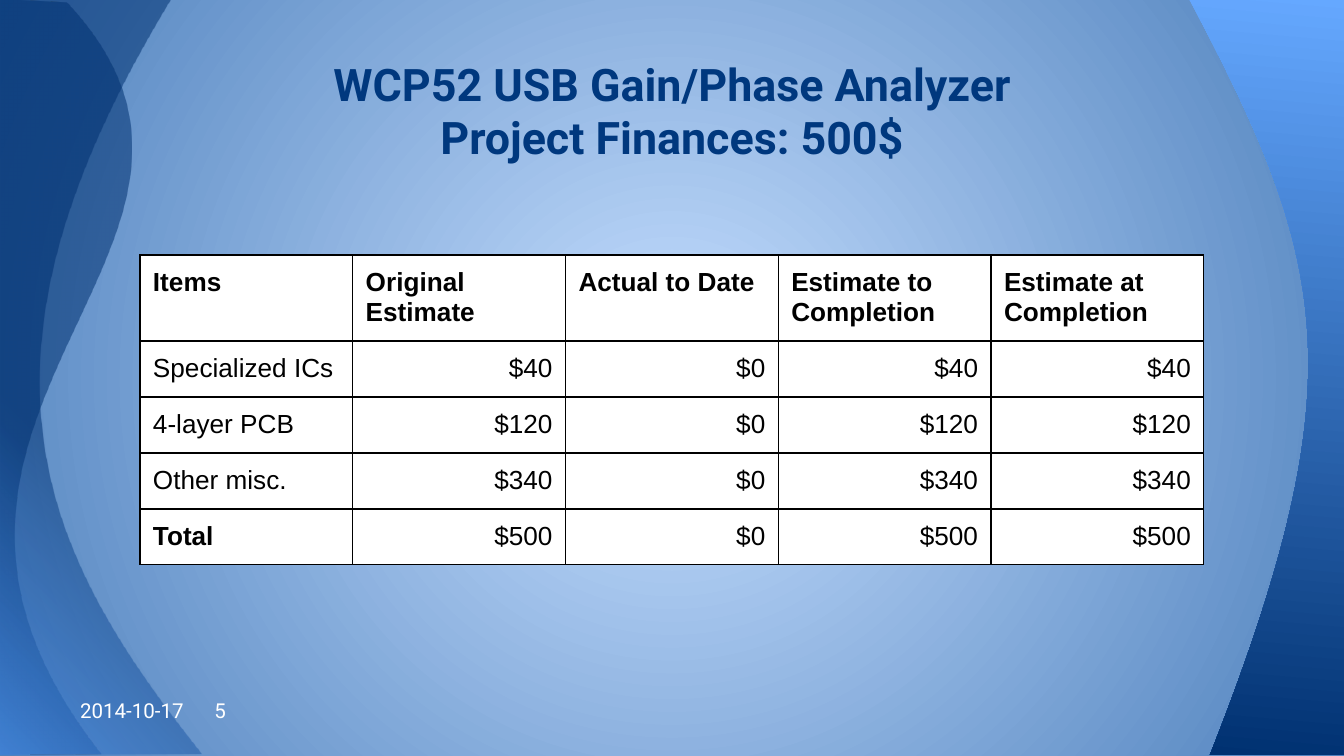
from itertools import chain
from pptx import Presentation
from pptx.dml.color import RGBColor
from pptx.enum.text import MSO_ANCHOR as Anchor, MSO_AUTO_SIZE as Fit, PP_ALIGN as Align
from pptx.oxml import parse_xml
from pptx.oxml.ns import nsdecls, qn
from pptx.util import Pt
from lxml.etree import SubElement

SCALE = 914400 / 134.4
PAD = 13
GLOW = [(0, "549FFF", 54), (41, "003171", 54), (100, "003171", 54)]
CORNER = '<a:path path="circle"><a:fillToRect l="0" t="100000" r="100000" b="0"/></a:path>'
CENTER = '<a:path path="circle"><a:fillToRect l="50000" t="50000" r="50000" b="50000"/></a:path>'
DOWN = '<a:lin ang="5700000" scaled="0"/>'

WAVES = [
    ([[(202, 754)], [(-1, 755)], [(-1, 503), (0, 250), (0, -3)],
      [(171, 0)], [(-51, 366), (44, 555), (202, 754)]], GLOW, CORNER),
    ([[(101, 754)], [(1, 755)], [(1, 504), (1, 252), (1, 0)],
      [(67, 3)], [(292, 245), (-164, 414), (101, 754)]], GLOW, CORNER),
    ([[(1351, 755)], [(1210, 755)], [(1357, 382), (1330, 263), (1189, -1)],
      [(1351, -1)]], [(0, "65A8FF", 100), (100, "003171", 100)], DOWN),
]
ROWS = [
    ["Items", "Original Estimate", "Actual to Date",
     "Estimate to Completion", "Estimate at Completion"],
    ["Specialized ICs", "$40", "$0", "$40", "$40"],
    ["4-layer PCB", "$120", "$0", "$120", "$120"],
    ["Other misc.", "$340", "$0", "$340", "$340"],
    ["Total", "$500", "$0", "$500", "$500"],
]


def px(n):
    return round(n * SCALE)


def color(code):
    return RGBColor.from_string(code)


def style(part, font, size, code, bold=False):
    for run in part.runs:
        face = run.font
        face.name, face.size, face.bold = font, Pt(size), bold
        face.color.rgb = color(code)


def shade(node, stops, kind):
    marks = "".join(
        f'<a:gs pos="{pos * 1000}"><a:srgbClr val="{code}">'
        f'<a:alpha val="{alpha * 1000}"/></a:srgbClr></a:gs>'
        for pos, code, alpha in stops)
    grad = parse_xml(f'<a:gradFill {nsdecls("a")} rotWithShape="1">'
                     f'<a:gsLst>{marks}</a:gsLst>{kind}</a:gradFill>')
    node.getparent().replace(node, grad)


def bend(shape, segs):
    lines = iter(shape.element.xpath(".//a:path/a:lnTo"))
    for seg in segs[1:]:
        group = [next(lines) for _ in seg]
        if len(group) == 3:
            group[0].tag
            curve = parse_xml(f'<a:cubicBezTo {nsdecls("a")}/>')
            group[0].addprevious(curve)
            for line in group:
                curve.append(line[0])
                line.getparent().remove(line)


def add_wave(slide, rank, segs, stops, kind):
    start, *rest = chain.from_iterable(segs)
    pen = slide.shapes.build_freeform(*start, scale=SCALE)
    pen.add_line_segments(rest, close=True)
    wave = pen.convert_to_shape()
    bend(wave, segs)
    wave.shadow.inherit = False
    wave.line.fill.background()
    wave.fill.solid()
    shade(wave.element.xpath("p:spPr/a:solidFill")[0], stops, kind)
    slide.shapes.element.insert(2 + rank, wave.element)


def add_back(slide):
    slide.background.fill.solid()
    node = slide.element.xpath(".//p:bg//a:solidFill")[0]
    shade(node, [(0, "C6DFFF", 100), (100, "4F81BD", 100)], CENTER)
    for rank, wave in enumerate(WAVES):
        add_wave(slide, rank, *wave)


def place(shape, box, text):
    shape.left, shape.top, shape.width, shape.height = map(px, box)
    frame = shape.text_frame
    frame.text = text
    frame.auto_size, frame.word_wrap = Fit.NONE, True
    frame.vertical_anchor = Anchor.BOTTOM
    frame.margin_left = frame.margin_right = px(PAD)
    frame.margin_top = frame.margin_bottom = px(PAD)
    return frame.paragraphs


def set_title(slide, box):
    text = "WCP52 USB Gain/Phase Analyzer\nProject Finances: 500$"
    for line in place(slide.shapes.title, box, text):
        line.alignment = Align.CENTER
        style(line, "Roboto", 24, "00387E", True)


def set_foot(slide, box):
    line = place(slide.placeholders[1], box, "2014-10-17\t5")[0]
    line.space_before = Pt(0)
    style(line, "Roboto", 11, "FFFFFF")
    props = line._p.get_or_add_pPr()
    props.set("marL", "0")
    props.set("indent", "0")
    SubElement(props, qn("a:buNone"))
    tabs = SubElement(props, qn("a:tabLst"))
    SubElement(tabs, qn("a:tab"), pos=str(px(491)), algn="l")


def edge(cell):
    props = cell._tc.get_or_add_tcPr()
    for rank, side in enumerate(("lnL", "lnR", "lnT", "lnB")):
        props.insert(rank, parse_xml(
            f'<a:{side} {nsdecls("a")} w="{Pt(0.75)}"><a:solidFill>'
            f'<a:srgbClr val="000000"/></a:solidFill></a:{side}>'))


def set_cell(cell, text, bold, align):
    cell.text = text
    cell.margin_left = cell.margin_right = px(PAD)
    cell.margin_top = cell.margin_bottom = px(PAD)
    cell.fill.solid()
    cell.fill.fore_color.rgb = color("FFFFFF")
    edge(cell)
    line = cell.text_frame.paragraphs[0]
    line.alignment = align
    style(line, "Arial", 14, "000000", bold)


def add_costs(slide, box):
    grid = slide.shapes.add_table(len(ROWS), len(ROWS[0]), *map(px, box)).table
    head, each = 86, 56
    for r, row in enumerate(ROWS):
        grid.rows[r].height = px(each if r else head)
        for c, text in enumerate(row):
            bold = r == 0 or text == "Total"
            align = Align.RIGHT if r and c else Align.LEFT
            set_cell(grid.cell(r, c), text, bold, align)


def main():
    deck = Presentation()
    deck.slide_width, deck.slide_height = px(1344), px(756)
    slide = deck.slides.add_slide(deck.slide_layouts[1])
    add_back(slide)
    set_title(slide, (67, 31, 1210, 146))
    set_foot(slide, (67, 183, 1210, 553))
    add_costs(slide, (140, 255, 1064, 310))
    deck.save("out.pptx")


main()
